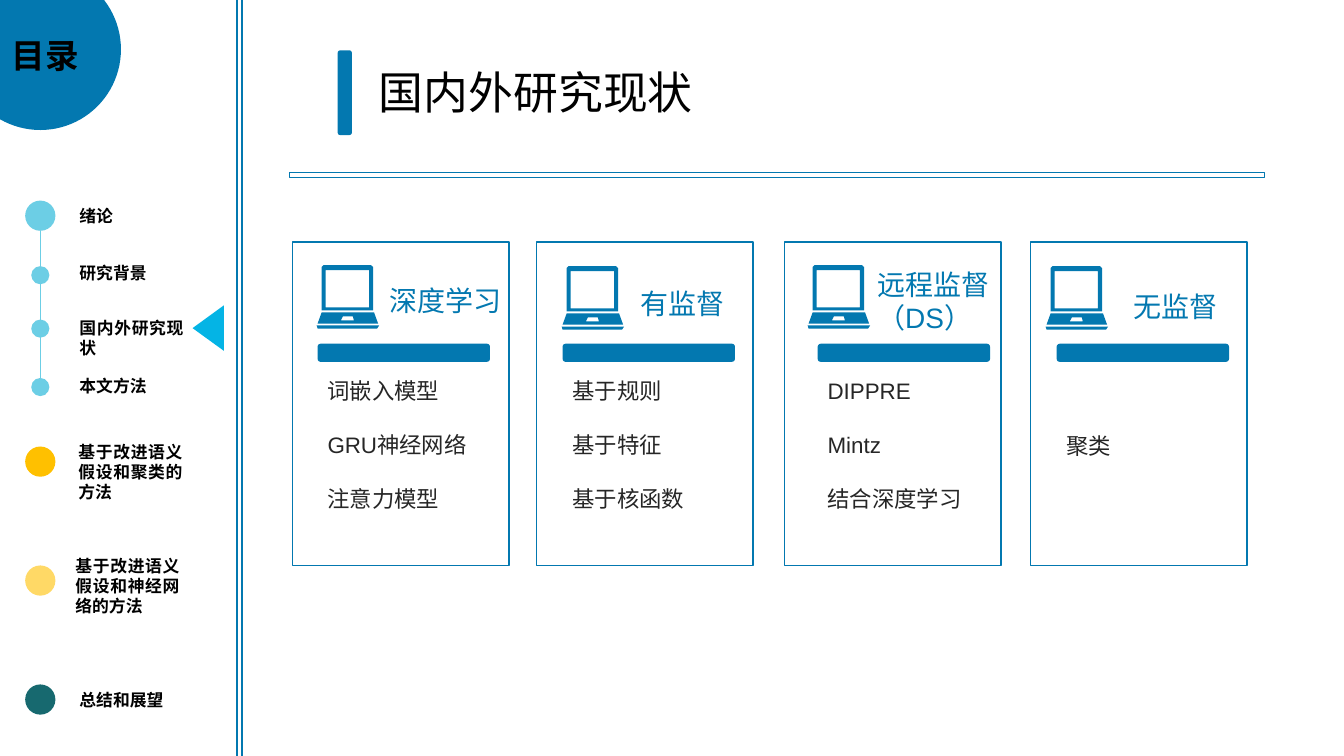
from pptx import Presentation
from pptx import util as u
from pptx.dml.color import RGBColor
from pptx.enum import shapes, text
from pptx.oxml.ns import qn
from lxml import etree

PX = 9144
BLUE = RGBColor(0x03, 0x78, 0xB0)
SKY = RGBColor(0x6C, 0xCE, 0xE5)
CYAN = RGBColor(0x04, 0xB4, 0xE5)
AMBER = RGBColor(0xFF, 0xC0, 0x00)
SAND = RGBColor(0xFF, 0xD9, 0x66)
TEAL = RGBColor(0x17, 0x69, 0x6F)
BLACK = RGBColor(0x00, 0x00, 0x00)
GRAY = RGBColor(0x26, 0x26, 0x26)
KIND = shapes.MSO_SHAPE
JUSTIFY = text.PP_ALIGN.JUSTIFY

deck = Presentation()
deck.slide_width = 1333 * PX
deck.slide_height = 750 * PX
slide = deck.slides.add_slide(deck.slide_layouts[6])


def add_figure(kind, left, top, width, height, fill=None):
    figure = slide.shapes.add_shape(kind, left * PX, top * PX, width * PX, height * PX)
    figure.shadow.inherit = False
    if fill is None:
        figure.fill.background()
        figure.line.color.rgb = BLUE
        figure.line.width = u.Pt(1)
    else:
        figure.fill.solid()
        figure.fill.fore_color.rgb = fill
        figure.line.fill.background()
    return figure


def add_words(lines, left, top, width, height, size, color, bold=False, align=None, gap=0):
    frame = slide.shapes.add_textbox(left * PX, top * PX, width * PX, height * PX).text_frame
    frame.word_wrap = True
    frame.text = "\n".join(lines)
    for index, paragraph in enumerate(frame.paragraphs):
        paragraph.alignment = align
        if index and gap:
            paragraph.space_before = u.Pt(gap)
        paragraph.font.name = "Arial"
        paragraph.font.size = u.Pt(size)
        paragraph.font.bold = bold
        paragraph.font.color.rgb = color


add_words(["国内外研究现状"], 366, 59, 556, 64, 32, BLACK)
add_figure(KIND.ROUNDED_RECTANGLE, 335, 50, 14, 84, BLUE)
add_figure(KIND.RECTANGLE, 287, 171, 967, 5)
add_figure(KIND.RECTANGLE, 235, -7, 5, 788)

add_figure(KIND.OVAL, -40, -31, 160, 160, BLUE)
add_words(["目录"], 2, 30, 107, 50, 24, BLACK, True, JUSTIFY)

contents = [
    ("绪论", 69, 199, 30, 199, 30, SKY),
    ("研究背景", 69, 256, 30, 264, 18, SKY),
    ("国内外研究现状", 69, 310, 50, 317, 18, SKY),
    ("本文方法", 69, 368, 30, 375, 18, SKY),
    ("基于改进语义假设和聚类的方法", 68, 433, 71, 443, 30, AMBER),
    ("基于改进语义假设和神经网络的方法", 65, 546, 71, 561, 30, SAND),
    ("总结和展望", 69, 679, 30, 679, 30, TEAL),
]
for label, left, top, height, dot_top, dot_size, color in contents:
    add_figure(KIND.OVAL, 40 - dot_size // 2, dot_top, dot_size, dot_size, color)
    add_words([label], left, top, 123, height, 12, BLACK, True, JUSTIFY)

thread = slide.shapes.add_connector(
    shapes.MSO_CONNECTOR.STRAIGHT, 40 * PX, 229 * PX, 40 * PX, 375 * PX)
thread.line.color.rgb = SKY
thread.line.width = u.Pt(0.5)
etree.SubElement(thread._element.spPr, qn("a:effectLst"))

current_marker = add_figure(KIND.ISOSCELES_TRIANGLE, 184, 310, 45, 31, CYAN)
current_marker.rotation = 270

laptop_outlines = [
    [(5, 47), (1, 58), (61, 58), (57, 47)],
    [(24, 55), (26, 51), (36, 51), (37, 55)],
    [(5, 45), (5, 2), (7, 0), (54, 0), (56, 2), (56, 45)],
    [(9, 42), (9, 5), (52, 5), (52, 42)],
    [(0, 60), (1, 63), (60, 63), (62, 60)],
]

cards = [
    (290, 314, 263, "深度学习", 376, 276, 139, 44,
     315, 369, 145, ["词嵌入模型", "GRU神经网络", "注意力模型"]),
    (532, 557, 264, "有监督", 625, 279, 107, 44,
     558, 369, 145, ["基于规则", "基于特征", "基于核函数"]),
    (778, 801, 263, "远程监督（DS）", 860, 260, 139, 77,
     811, 369, 145, ["DIPPRE", "Mintz", "结合深度学习"]),
    (1022, 1037, 264, "无监督", 1114, 282, 117, 44,
     1048, 424, 37, ["聚类"]),
]
for (card_left, laptop_left, laptop_top, heading, heading_left, heading_top, heading_width,
     heading_height, methods_left, methods_top, methods_height, methods) in cards:
    add_words([heading], heading_left, heading_top, heading_width, heading_height, 20, BLUE)
    add_words(methods, methods_left, methods_top, 165, methods_height, 16, GRAY,
              align=JUSTIFY, gap=19.3)
    add_figure(KIND.ROUNDED_RECTANGLE, methods_left, 341, 171, 18, BLUE)

    outline = slide.shapes.build_freeform(*laptop_outlines[0][0], scale=PX)
    for corners in laptop_outlines:
        if corners is not laptop_outlines[0]:
            outline.move_to(*corners[0])
        outline.add_line_segments(corners[1:], close=True)
    laptop = outline.convert_to_shape(laptop_left * PX, laptop_top * PX)
    laptop.shadow.inherit = False
    laptop.fill.solid()
    laptop.fill.fore_color.rgb = BLUE
    laptop.line.fill.background()

    add_figure(KIND.RECTANGLE, card_left, 240, 215, 321)

deck.save("out.pptx")
